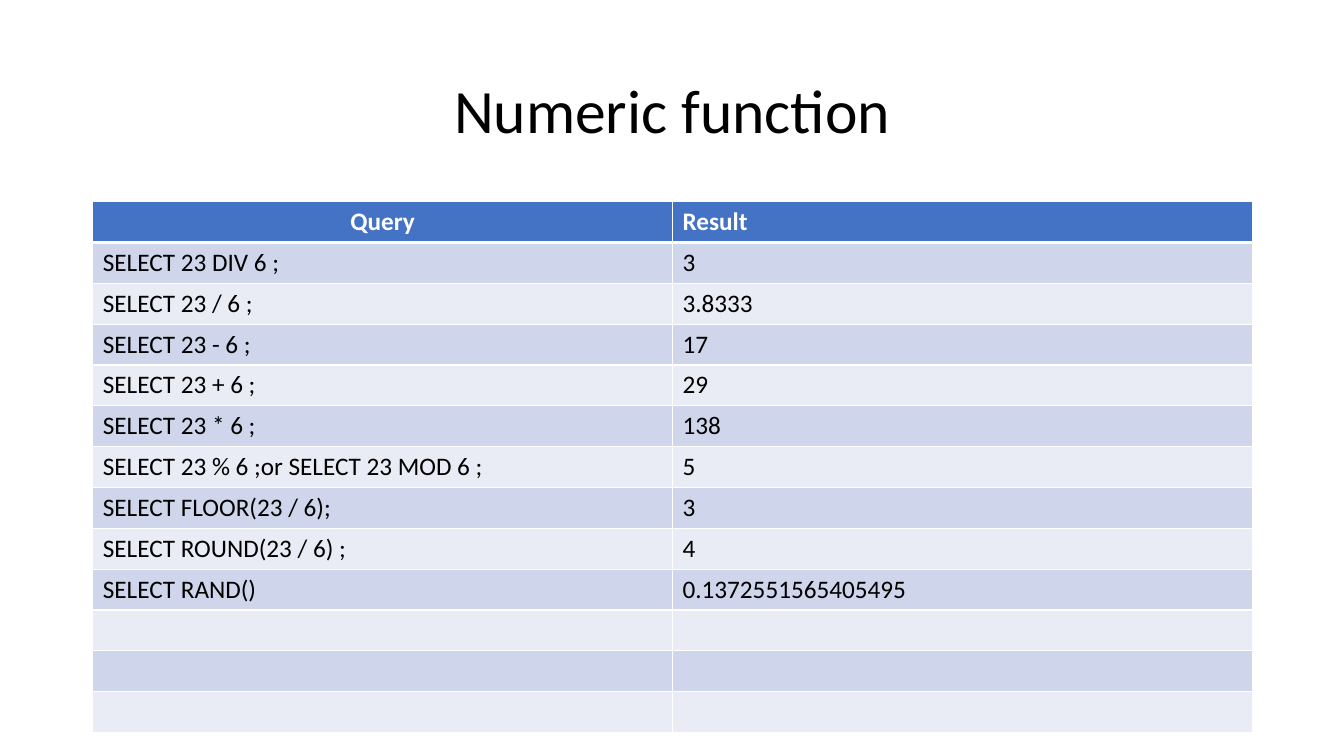
"""Build a slide with a table of SQL numeric functions and their results."""
from lxml.etree import SubElement as Sub
from pptx import Presentation
from pptx.dml.color import RGBColor as RGB
from pptx.enum.text import MSO_ANCHOR as Anchor, PP_ALIGN as Align
from pptx.oxml.ns import qn
from pptx.util import Inches, Pt

HUES = {"head": "4472C4", "odd": "CFD5EA", "even": "E9EBF5",
        "white": "FFFFFF", "black": "000000"}
ROWS = [
    ("Query", "Result"),
    ("SELECT 23 DIV 6 ;", "3"),
    ("SELECT 23 / 6 ;", "3.8333"),
    ("SELECT 23 - 6 ;", "17"),
    ("SELECT 23 + 6 ;", "29"),
    ("SELECT 23 * 6 ;", "138"),
    ("SELECT 23 % 6 ;or SELECT 23 MOD 6 ;", "5"),
    ("SELECT FLOOR(23 / 6);", "3"),
    ("SELECT ROUND(23 / 6) ;", "4"),
    ("SELECT RAND()", "0.1372551565405495"),
    ("", ""),
    ("", ""),
    ("", ""),
]


def style(para, size, hue, bold=False):
    font = para.font
    font.name, font.size, font.bold = "Calibri", Pt(size), bold
    font.color.rgb = RGB.from_string(HUES[hue])


def edge(cell, side, width):
    line = Sub(cell._tc.get_or_add_tcPr(), qn(f"a:ln{side}"), w=str(Pt(width)))
    fill = Sub(line, qn("a:solidFill"))
    Sub(fill, qn("a:srgbClr"), val=HUES["white"])


deck = Presentation()
deck.slide_width, deck.slide_height = Inches(13.33), Inches(7.5)
slide = deck.slides.add_slide(deck.slide_layouts[6])

title = slide.shapes.add_textbox(Inches(0.92), Inches(0.4), Inches(11.5), Inches(1.45))
frame = title.text_frame
frame.word_wrap = True
frame.vertical_anchor = Anchor.MIDDLE
para = frame.paragraphs[0]
para.text = "Numeric function"
para.alignment = Align.CENTER
para.line_spacing = 0.9
style(para, 44, "black")

table = slide.shapes.add_table(len(ROWS), 2, Inches(0.92), Inches(2),
                               Inches(11.5), Inches(5.27)).table
for r, row in enumerate(ROWS):
    head = r == 0
    band = "head" if head else "odd" if r % 2 else "even"
    for c, text in enumerate(row):
        cell = table.cell(r, c)
        for side in "LRTB":
            thick = (r, side) in ((0, "B"), (1, "T"))
            edge(cell, side, 3 if thick else 1)
        cell.fill.solid()
        cell.fill.fore_color.rgb = RGB.from_string(HUES[band])
        para = cell.text_frame.paragraphs[0]
        para.text = text
        style(para, 18, "white" if head else "black", head)
table.cell(0, 0).text_frame.paragraphs[0].alignment = Align.CENTER
table.cell(9, 1).vertical_anchor = Anchor.MIDDLE

deck.save("out.pptx")
